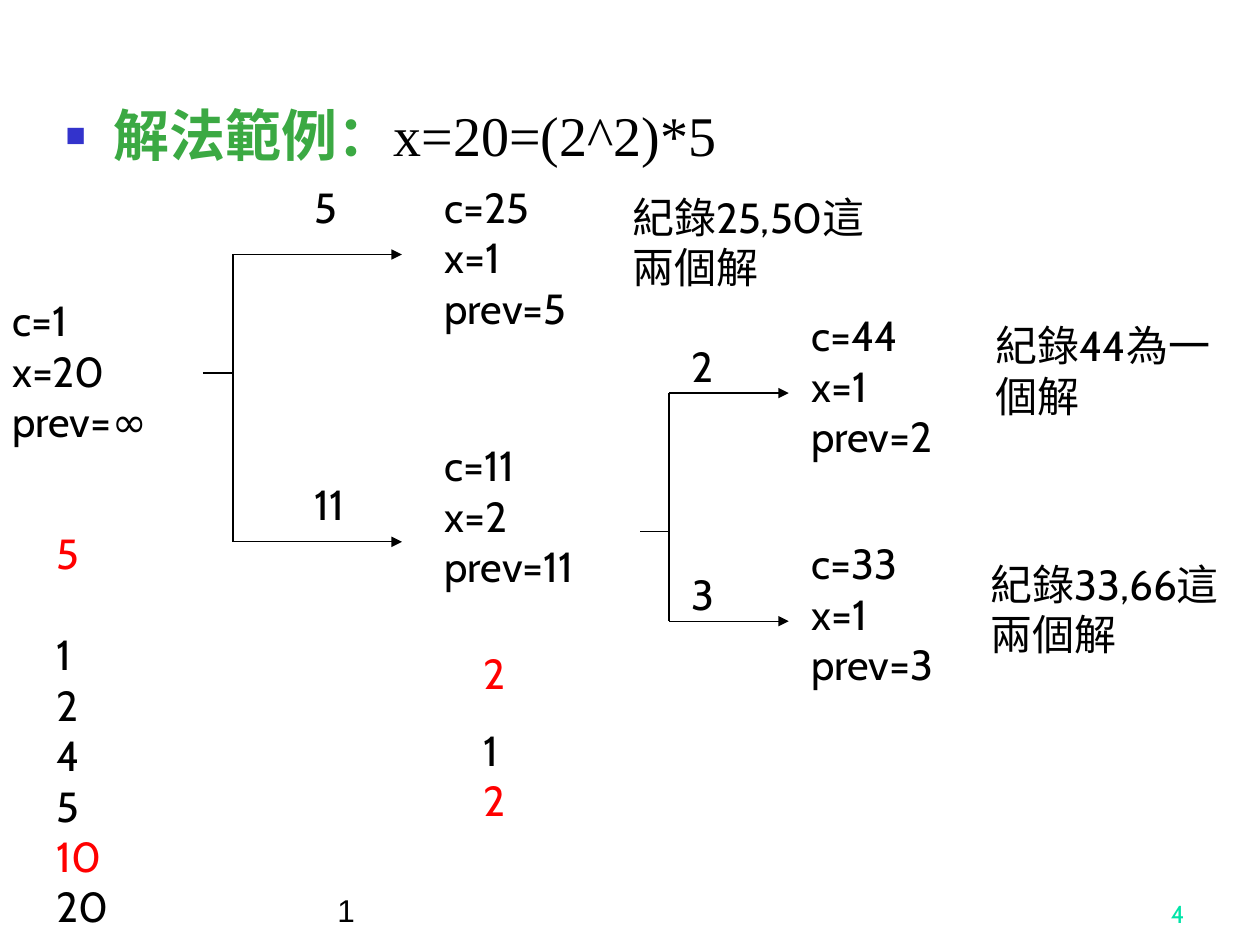
from lxml import etree
from pptx import Presentation
from pptx.dml.color import RGBColor
from pptx.enum.shapes import MSO_CONNECTOR
from pptx.enum.text import MSO_ANCHOR, MSO_AUTO_SIZE, PP_ALIGN
from pptx.oxml.ns import qn
from pptx.util import Inches, Pt

BLACK = RGBColor(0, 0, 0)
RED = RGBColor(0xFF, 0, 0)
GREEN = RGBColor(0x3B, 0xA9, 0x43)
MINT = RGBColor(0, 0xE4, 0xA8)

HEADING = [("解法範例：", GREEN, True), ("x=20=(2^2)*5", BLACK, False)]

STATES = [
    (0, 2.29, 1.53, (1, 20, "∞")),
    (3.43, 1.39, 1.5, (25, 1, 5)),
    (3.43, 3.44, 1.5, (11, 2, 11)),
    (6.34, 2.41, 1.34, (44, 1, 2)),
    (6.34, 4.22, 1.42, (33, 1, 3)),
]
BRANCH_LABELS = [
    (2.4, 1.39, 0.87, "5"),
    (2.4, 3.75, 0.94, "11"),
    (5.39, 2.65, 0.71, "2"),
    (5.39, 4.46, 0.71, "3"),
]
REMARKS = [
    (4.92, 1.47, 2.2, "紀錄25,50這兩個解"),
    (7.8, 2.49, 1.93, "紀錄44為一個解"),
    (7.76, 4.38, 2.05, "紀錄33,66這兩個解"),
]
DIVISORS = [
    (0.35, 4.14, 0.94, 3.3, 29, "5", ["1", "2", "4", "5", "10", "20"], {"10"}),
    (3.74, 5.09, 1.1, 1.51, 15, "2", ["1", "2"], {"2"}),
]
FORKS = [
    (1.61, 1.85, 3.19, 2.96, (2.02, 4.3)),
    (5.08, 5.31, 6.26, 4.22, (3.12, 4.93)),
]
FOOTERS = [
    (2.58, 5.42, "1", "Arial", 18, BLACK, PP_ALIGN.LEFT),
    (7.42, 2.08, "4", "Cabin", 14, MINT, PP_ALIGN.RIGHT),
]


def set_font(paragraph, name, size, color=None):
    font = paragraph.font
    font.name, font.size = name, Pt(size)
    if color is not None:
        font.color.rgb = color


def add_text(slide, left, top, width, height):
    box = slide.shapes.add_textbox(
        Inches(left), Inches(top), Inches(width), Inches(height))
    frame = box.text_frame
    frame.word_wrap = True
    frame.auto_size = MSO_AUTO_SIZE.SHAPE_TO_FIT_TEXT
    return frame


def add_lines(slide, left, top, width, lines):
    frame = add_text(slide, left, top, width, 0.1 + 0.4 * len(lines))
    paragraph = frame.paragraphs[0]
    paragraph.text = "\v".join(lines)
    set_font(paragraph, "Cabin", 24, BLACK)
    return frame


def add_line(slide, x1, y1, x2, y2, arrow=False):
    line = slide.shapes.add_connector(
        MSO_CONNECTOR.STRAIGHT, Inches(x1), Inches(y1), Inches(x2), Inches(y2))
    line.line.color.rgb = BLACK
    line.line.width = Pt(0.75)
    if arrow:
        etree.SubElement(line.line._get_or_add_ln(), qn("a:tailEnd"), type="triangle")
    etree.SubElement(line._element.spPr, qn("a:effectLst"))


def add_heading(slide):
    body = slide.placeholders[1]
    body.left, body.top = Inches(0.42), Inches(0.75)
    body.width, body.height = Inches(8.83), Inches(6.15)
    body.text_frame.auto_size = MSO_AUTO_SIZE.NONE
    paragraph = body.text_frame.paragraphs[0]
    props = paragraph._p.get_or_add_pPr()
    props.set("marL", str(Inches(0.38)))
    props.set("indent", str(-Inches(0.38)))
    bullet_color = etree.SubElement(props, qn("a:buClr"))
    etree.SubElement(bullet_color, qn("a:srgbClr"), val="3333CC")
    etree.SubElement(props, qn("a:buSzPct"), val="60000")
    etree.SubElement(props, qn("a:buFont"), typeface="Arial")
    etree.SubElement(props, qn("a:buChar"), char="■")
    paragraph.space_before = Pt(0)
    set_font(paragraph, "Times New Roman", 32)
    for text, color, bold in HEADING:
        run = paragraph.add_run()
        run.text = text
        run.font.color.rgb = color
        run.font.bold = bold


def add_divisors(slide, left, top, width, height, gap, limit, divisors, chosen):
    frame = add_text(slide, left, top, width, height)
    first = frame.paragraphs[0]
    first.text = limit
    set_font(first, "Cabin", 24, RED)
    paragraph = frame.add_paragraph()
    paragraph.space_before = Pt(gap)
    set_font(paragraph, "Cabin", 24)
    for i, divisor in enumerate(divisors):
        if i:
            paragraph.add_line_break()
        run = paragraph.add_run()
        run.text = divisor
        run.font.color.rgb = RED if divisor in chosen else BLACK


def main():
    deck = Presentation()
    deck.slide_width, deck.slide_height = Inches(10), Inches(7.5)
    slide = deck.slides.add_slide(deck.slide_layouts[1])
    title = slide.shapes.title._element
    title.getparent().remove(title)
    add_heading(slide)

    for start, trunk, end, middle, branches in FORKS:
        add_line(slide, start, middle, trunk, middle)
        add_line(slide, trunk, branches[0], trunk, branches[1])
        for y in branches:
            add_line(slide, trunk, y, end, y, arrow=True)

    for left, top, width, values in STATES:
        lines = [f"{key}={value}" for key, value in zip(("c", "x", "prev"), values)]
        add_lines(slide, left, top, width, lines)
    for left, top, width, label in BRANCH_LABELS:
        add_lines(slide, left, top, width, [label])
    for left, top, width, remark in REMARKS:
        frame = add_text(slide, left, top, width, 0.9)
        frame.text = remark
        set_font(frame.paragraphs[0], "Cabin", 24, BLACK)
    for column in DIVISORS:
        add_divisors(slide, *column)

    for left, width, text, font, size, color, align in FOOTERS:
        frame = add_text(slide, left, 6.92, width, 0.5)
        frame.auto_size = MSO_AUTO_SIZE.NONE
        frame.vertical_anchor = MSO_ANCHOR.BOTTOM
        frame.text = text
        frame.paragraphs[0].alignment = align
        set_font(frame.paragraphs[0], font, size, color)

    deck.save("out.pptx")


if __name__ == "__main__":
    main()
